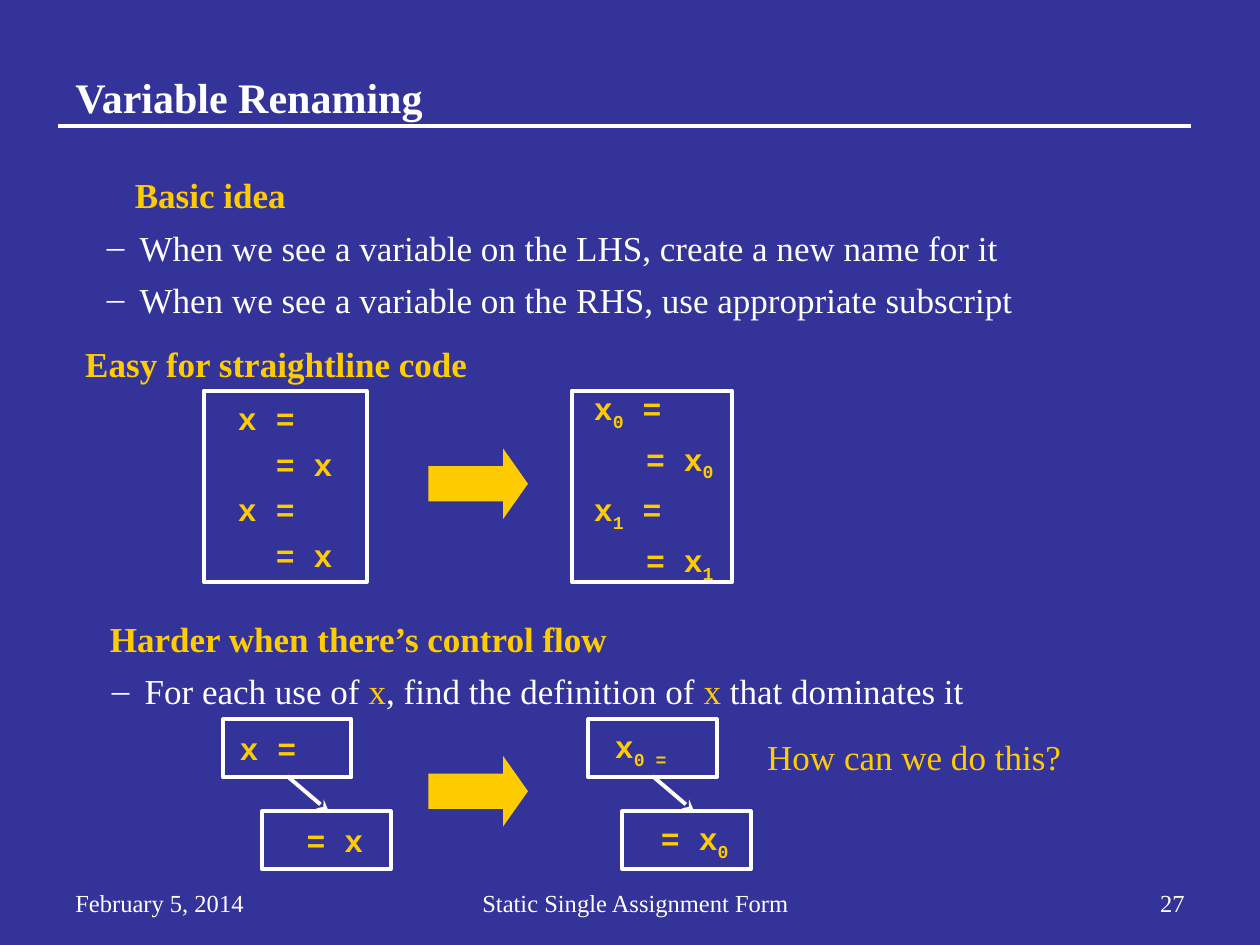
from dataclasses import dataclass

from lxml import etree
from pptx import Presentation
from pptx.dml.color import RGBColor
from pptx.enum import shapes, text
from pptx.oxml import ns
from pptx.util import Pt


@dataclass(frozen=True)
class Theme:
    blue: RGBColor = RGBColor(0x33, 0x33, 0x99)
    white: RGBColor = RGBColor(0xFF, 0xFF, 0xFF)
    gold: RGBColor = RGBColor(0xFF, 0xCC, 0x00)
    serif: str = "Times New Roman"
    mono: str = "Courier New"
    title: float = 24
    body: float = 20
    code: float = 18
    footer: float = 14
    rule: float = 2
    outline: float = 2.25


T = Theme()
LEFT, CENTER, RIGHT = text.PP_ALIGN.LEFT, text.PP_ALIGN.CENTER, text.PP_ALIGN.RIGHT


def sub(parent, tag, **attributes):
    return etree.SubElement(parent, ns.qn(tag), attributes)


def add_run(paragraph, words, size, color, font=T.serif, bold=False, subscript=False):
    run = paragraph.add_run()
    run.text = words
    run.font.name, run.font.size, run.font.bold = font, Pt(size), bold
    run.font.color.rgb = color
    if subscript:
        run.font._element.set("baseline", "-25000")


def set_indent(paragraph, margin, hanging=0):
    properties = paragraph._p.get_or_add_pPr()
    properties.set("marL", str(Pt(margin)))
    properties.set("indent", str(-Pt(hanging)))
    return properties


def text_frame(slide, box):
    frame = slide.shapes.add_textbox(*map(Pt, box)).text_frame
    frame.word_wrap = True
    return frame


def add_label(slide, box, words, size, color, bold=False, align=LEFT, before=0, indent=0):
    frame = text_frame(slide, box)
    paragraph = frame.paragraphs[0]
    paragraph.alignment, paragraph.space_before = align, Pt(before)
    set_indent(paragraph, indent)
    add_run(paragraph, words, size, color, bold=bold)
    return frame


def add_points(slide, box, heading, heading_indent, points):
    """Gold heading over dashed points; a point is a list of (words, color)."""
    frame = add_label(slide, box, heading, T.body, T.gold, bold=True,
                      before=5, indent=heading_indent)
    for point in points:
        paragraph = frame.add_paragraph()
        paragraph.space_before = Pt(5.8)
        properties = set_indent(paragraph, 36.7, 18.7)
        sub(sub(properties, "a:buClr"), "a:srgbClr", val=str(T.white))
        sub(properties, "a:buFont", typeface=T.serif)
        sub(properties, "a:buChar", char="–")
        for words, color in point:
            add_run(paragraph, words, T.body, color)


def add_code_box(slide, box, lines):
    """Outlined box; a line is (indent, code, subscript, rest of the code)."""
    block = slide.shapes.add_shape(shapes.MSO_SHAPE.RECTANGLE, *map(Pt, box))
    block.shadow.inherit = False
    block.fill.background()
    block.line.color.rgb, block.line.width = T.white, Pt(T.outline)
    frame = block.text_frame
    frame.word_wrap = True
    frame.vertical_anchor = text.MSO_ANCHOR.MIDDLE
    frame.margin_left = frame.margin_right = 0
    for number, (indent, code, index, rest) in enumerate(lines):
        paragraph = frame.add_paragraph() if number else frame.paragraphs[0]
        paragraph.alignment, paragraph.space_before = LEFT, Pt(4.5)
        set_indent(paragraph, indent)
        for words, lowered in ((code, False), (index, True), (rest, False)):
            if words:
                add_run(paragraph, words, T.code, T.gold, T.mono, True, lowered)


def add_block_arrow(slide, left, top):
    arrow = slide.shapes.add_shape(shapes.MSO_SHAPE.RIGHT_ARROW,
                                   Pt(left), Pt(top), Pt(56.9), Pt(40.3))
    arrow.shadow.inherit = False
    arrow.adjustments[0], arrow.adjustments[1] = 0.5, 0.352
    arrow.fill.solid()
    arrow.fill.fore_color.rgb = T.gold
    arrow.line.fill.background()


def add_line(slide, start, end, width, stealth=False):
    line = slide.shapes.add_connector(shapes.MSO_CONNECTOR.STRAIGHT,
                                      *map(Pt, (*start, *end)))
    line.line.color.rgb, line.line.width = T.white, Pt(width)
    if stealth:
        sub(line.line._get_or_add_ln(), "a:tailEnd", type="stealth")
    sub(line._element.spPr, "a:effectLst")


def add_header(slide, box):
    left, top, width, height = box
    add_line(slide, (left - 2.9, 72), (left + width - 3.6, 72), T.rule)
    frame = add_label(slide, box, "Variable Renaming", T.title, T.white, bold=True)
    frame.vertical_anchor = text.MSO_ANCHOR.MIDDLE


def add_footer(slide, box):
    left, top, width, height = box
    for offset, part, words, align in (
        (0, 131.8, "February 5, 2014", LEFT),
        (156.2, 342, "Static Single Assignment Form", CENTER),
        (width - 66.2, 66.2, "27", RIGHT),
    ):
        add_label(slide, (left + offset, top, part, height), words,
                  T.footer, T.white, align=align)


def add_straightline(slide, box):
    left, top, width, height = box
    add_label(slide, (left, top, width, 31.7), "Easy for straightline code",
              T.body, T.gold, bold=True, before=5, indent=4.9)
    code_top, code_height = top + 31, height - 31
    add_code_box(slide, (left + 79.9, code_top, 92.9, code_height),
                 [(19.4, "x =", "", ""), (41, "= x", "", "")] * 2)
    add_block_arrow(slide, left + 208.1, top + 64.1)
    renamed = [line for index in "01"
               for line in ((12.5, "x", index, " ="), (42.3, "= x", index, ""))]
    add_code_box(slide, (left + 290.2, code_top, 91.4, code_height), renamed)


def add_flow(slide, left, top, use_offset, definition, use):
    """Definition box with an arrow down to the box of its use."""
    width, height, drop = 73.4, 33.1, 52.6
    add_code_box(slide, (left, top, width, height), [definition])
    add_code_box(slide, (left + use_offset, top + drop, width, height), [use])
    start = left + width / 2
    add_line(slide, (start, top + height - 0.7), (start + 23.8, top + drop),
             T.outline, stealth=True)


def add_control_flow(slide, box):
    left, top, width, height = box
    add_points(slide, (left, top, width, 61.2), "Harder when there’s control flow", 16.8,
               [[("For each use of ", T.white), ("x", T.gold),
                 (", find the definition of ", T.white), ("x", T.gold),
                 (" that dominates it", T.white)]])
    flow_top = top + 61.9
    add_flow(slide, left + 88.5, flow_top, 22.4,
             (9.5, "x =", "", ""), (25.4, "= x", "", ""))
    add_block_arrow(slide, left + 205.9, top + 82.8)
    add_flow(slide, left + 297.3, flow_top, 19.5,
             (15.2, "x", "0 =", ""), (22, "= x", "0", ""))
    add_label(slide, (left + 392.4, top + 67.7, 245.5, 41.8), "How can we do this?",
              T.body, T.gold, before=5)


def main():
    deck = Presentation()
    deck.slide_width, deck.slide_height = Pt(720), Pt(540)
    slide = deck.slides.add_slide(deck.slide_layouts[6])
    slide.background.fill.solid()
    slide.background.fill.fore_color.rgb = T.blue
    add_header(slide, (36, 30.2, 648, 50.4))
    add_points(slide, (36, 95.8, 645.1, 89.3), "Basic idea", 34, [
        [("When we see a variable on the LHS, create a new name for it", T.white)],
        [("When we see a variable on the RHS, use appropriate subscript", T.white)],
    ])
    add_straightline(slide, (36.7, 192.2, 641.5, 140.5))
    add_control_flow(slide, (38.9, 349.2, 591.8, 147.6))
    add_footer(slide, (36, 504, 648, 25.2))
    deck.save("out.pptx")


if __name__ == "__main__":
    main()
